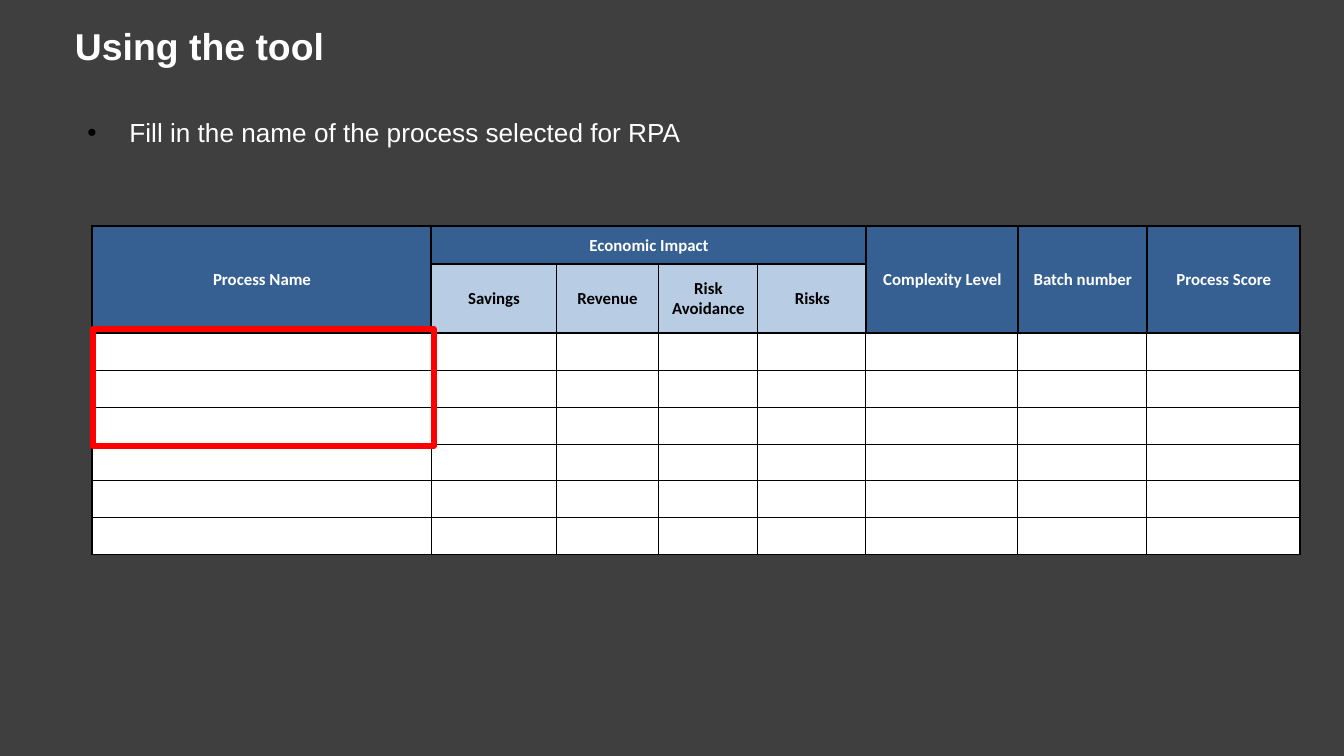
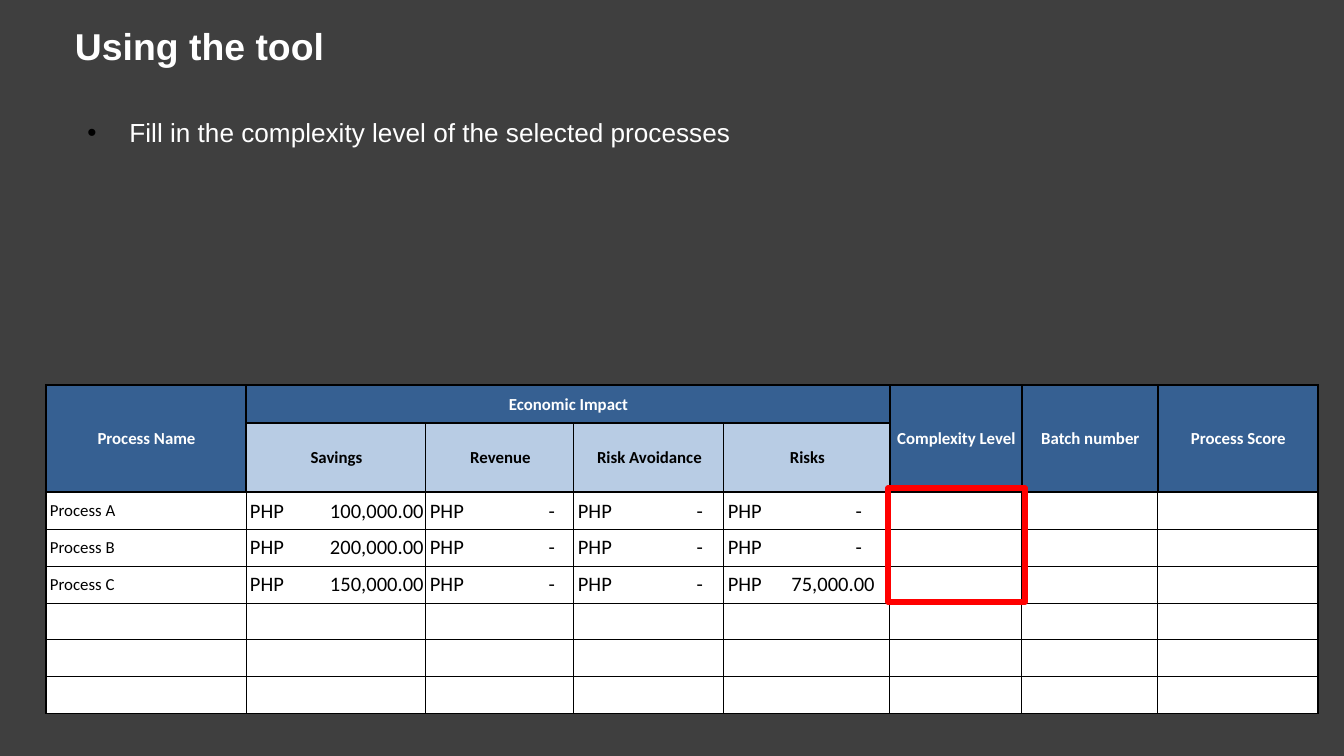
from lxml import etree
from pptx import Presentation
from pptx.dml.color import RGBColor
from pptx.enum import shapes, text
from pptx.oxml import ns
from pptx import util as u

PX = u.Inches(10) / 1344
COLORS = {
    "background": "3F3F3F", "light": "FFFFFF", "dark": "000000",
    "header": "366092", "subheader": "B8CCE4", "highlight": "FF0000",
}
THIN, THICK = 0.5, 1

# Table structure
GROUP = "Economic Impact"
HEADERS = {0: "Process Name", 1: GROUP, 5: "Complexity Level",
           6: "Batch number", 7: "Process Score"}
IMPACTS = ["Savings", "Revenue", "Risk Avoidance", "Risks"]
ROW_HEIGHTS = [38, 69] + [37] * 6
HEADER_ROWS = 2

# Amounts: text and the right edge it is aligned to
PROCESSES = [
    ("Process A", [("100,000.00", 174), ("-", 125), ("-", 125), ("-", 134)]),
    ("Process B", [("200,000.00", 174), ("-", 125), ("-", 125), ("-", 134)]),
    ("Process C", [("150,000.00", 174), ("-", 125), ("-", 125), ("75,000.00", 147)]),
]


def px(length):
    return u.Emu(round(length * PX))


def rgb(name):
    return RGBColor.from_string(COLORS[name])


def apply(target, values):
    for name, value in values.items():
        setattr(target, name, value)


def add_xml(parent, tag, **attributes):
    return etree.SubElement(parent, ns.qn(tag), attributes)


class Deck:
    """Holds the shared style and the slide being built."""

    TITLE = {"name": "Arial", "size": u.Pt(20), "bold": True}
    BULLET = {"name": "Arial", "size": u.Pt(14), "bold": False}
    HEADING = {"name": "Calibri", "size": u.Pt(9), "bold": True}
    LABEL = {"name": "Calibri", "size": u.Pt(9), "bold": False}
    AMOUNT = {"name": "Calibri", "size": u.Pt(11), "bold": False}

    def __init__(self):
        self.prs = Presentation()
        apply(self.prs, {"slide_width": px(1344), "slide_height": px(756)})
        fill = self.prs.slide_master.background.fill
        fill.solid()
        fill.fore_color.rgb = rgb("background")
        self.slide = None

    def new_slide(self):
        self.slide = self.prs.slides.add_slide(self.prs.slide_layouts[1])

    def words(self, paragraph, content, font, color):
        run = paragraph.add_run()
        run.text = content
        apply(run.font, font)
        run.font.color.rgb = rgb(color)

    def place(self, holder, left, top, width, height):
        apply(holder, {"left": px(left), "top": px(top),
                       "width": px(width), "height": px(height)})

    def title(self, content):
        heading = self.slide.shapes.title
        self.place(heading, 46, 7, 1253, 78)
        frame = heading.text_frame
        sides = ("margin_left", "margin_right", "margin_top", "margin_bottom")
        apply(frame, dict.fromkeys(sides, px(13)))
        apply(frame, {"auto_size": text.MSO_AUTO_SIZE.NONE,
                      "vertical_anchor": text.MSO_ANCHOR.MIDDLE})
        line = frame.paragraphs[0]
        line.alignment = text.PP_ALIGN.LEFT
        line._p.get_or_add_pPr().set("marL", str(px(16)))
        self.words(line, content, self.TITLE, "light")

    def bullet(self, content):
        instruction = self.slide.placeholders[1]
        self.place(instruction, 74, 110, 1181, 46)
        instruction.text_frame.auto_size = text.MSO_AUTO_SIZE.SHAPE_TO_FIT_TEXT
        line = instruction.text_frame.paragraphs[0]
        line.space_before = u.Pt(0)
        properties = line._p.get_or_add_pPr()
        properties.set("marL", str(px(42)))
        properties.set("indent", str(-px(42)))
        add_xml(add_xml(properties, "a:buClr"), "a:srgbClr", val=COLORS["dark"])
        add_xml(properties, "a:buFont", typeface="Arial")
        add_xml(properties, "a:buChar", char="•")
        self.words(line, content, self.BULLET, "light")

    def borders(self, cell, row, col):
        last = len(IMPACTS) + len(HEADERS) - 1

        def vertical(edge):
            return edge in (0, last) or row < HEADER_ROWS and edge in HEADERS

        def horizontal(edge):
            return edge < HEADER_ROWS or edge == HEADER_ROWS and col > 0

        sides = {"L": vertical(col), "R": vertical(col + 1),
                 "T": horizontal(row), "B": horizontal(row + 1)}
        properties = cell._tc.get_or_add_tcPr()
        for side, thick in sides.items():
            width = u.Pt(THICK if thick else THIN)
            line = add_xml(properties, f"a:ln{side}", w=str(width))
            add_xml(add_xml(line, "a:solidFill"), "a:srgbClr", val=COLORS["dark"])

    def style_cell(self, cell, row, col):
        self.borders(cell, row, col)
        if row >= HEADER_ROWS:
            color = "light"
        elif row == 1 and 1 <= col <= len(IMPACTS):
            color = "subheader"
        else:
            color = "header"
        cell.fill.solid()
        cell.fill.fore_color.rgb = rgb(color)
        apply(cell, {"margin_left": px(4 if row >= HEADER_ROWS else 1),
                     "margin_right": 0, "margin_top": px(1), "margin_bottom": 0,
                     "vertical_anchor": text.MSO_ANCHOR.MIDDLE})
        # Small type keeps empty rows at their height
        add_xml(cell.text_frame.paragraphs[0]._p, "a:endParaRPr", sz="900")

    def heading(self, cell, content, color):
        line = cell.text_frame.paragraphs[0]
        line.alignment = text.PP_ALIGN.CENTER
        self.words(line, content, self.HEADING, color)

    def amount(self, cell, value, edge):
        line = cell.text_frame.paragraphs[0]
        tabs = add_xml(line._p.get_or_add_pPr(), "a:tabLst")
        add_xml(tabs, "a:tab", pos=str(px(edge)), algn="r")
        self.words(line, f"PHP\t{value}", self.AMOUNT, "dark")

    def score_table(self, left, top, widths, processes=()):
        scores = self.slide.shapes.add_table(
            len(ROW_HEIGHTS), len(widths), px(left), px(top),
            px(sum(widths)), px(sum(ROW_HEIGHTS))).table
        apply(scores, {"first_row": False, "horz_banding": False})
        for column, width in zip(scores.columns, widths):
            column.width = px(width)
        for row, height in enumerate(ROW_HEIGHTS):
            scores.rows[row].height = px(height)
            for col in range(len(widths)):
                self.style_cell(scores.cell(row, col), row, col)

        # Header rows
        for col, header in HEADERS.items():
            cell = scores.cell(0, col)
            end = (0, len(IMPACTS)) if header == GROUP else (1, col)
            cell.merge(scores.cell(*end))
            self.heading(cell, header, "light")
        for col, impact in enumerate(IMPACTS, 1):
            self.heading(scores.cell(1, col), impact, "dark")

        # Process rows
        for row, (process, amounts) in enumerate(processes, HEADER_ROWS):
            name = scores.cell(row, 0).text_frame.paragraphs[0]
            self.words(name, process, self.LABEL, "dark")
            for col, (value, edge) in enumerate(amounts, 1):
                self.amount(scores.cell(row, col), value, edge)

    def highlight(self, *box):
        marker = self.slide.shapes.add_shape(
            shapes.MSO_SHAPE.RECTANGLE, *map(px, box))
        marker.shadow.inherit = False
        marker.fill.background()
        marker.line.color.rgb = rgb("highlight")
        marker.line.width = u.Pt(3)


def main():
    deck = Deck()

    # Process names
    deck.new_slide()
    deck.title("Using the tool")
    deck.bullet("Fill in the name of the process selected for RPA")
    deck.score_table(92, 226, [339, 125, 102, 100, 108, 152, 129, 153])
    deck.highlight(93, 329, 341, 117)

    # Complexity levels
    deck.new_slide()
    deck.title("Using the tool")
    deck.bullet("Fill in the complexity level of the selected processes")
    deck.score_table(46, 385, [200, 180, 148, 150, 166, 132, 136, 160], PROCESSES)
    deck.highlight(888, 488, 137, 114)

    deck.prs.save("out.pptx")


if __name__ == "__main__":
    main()
